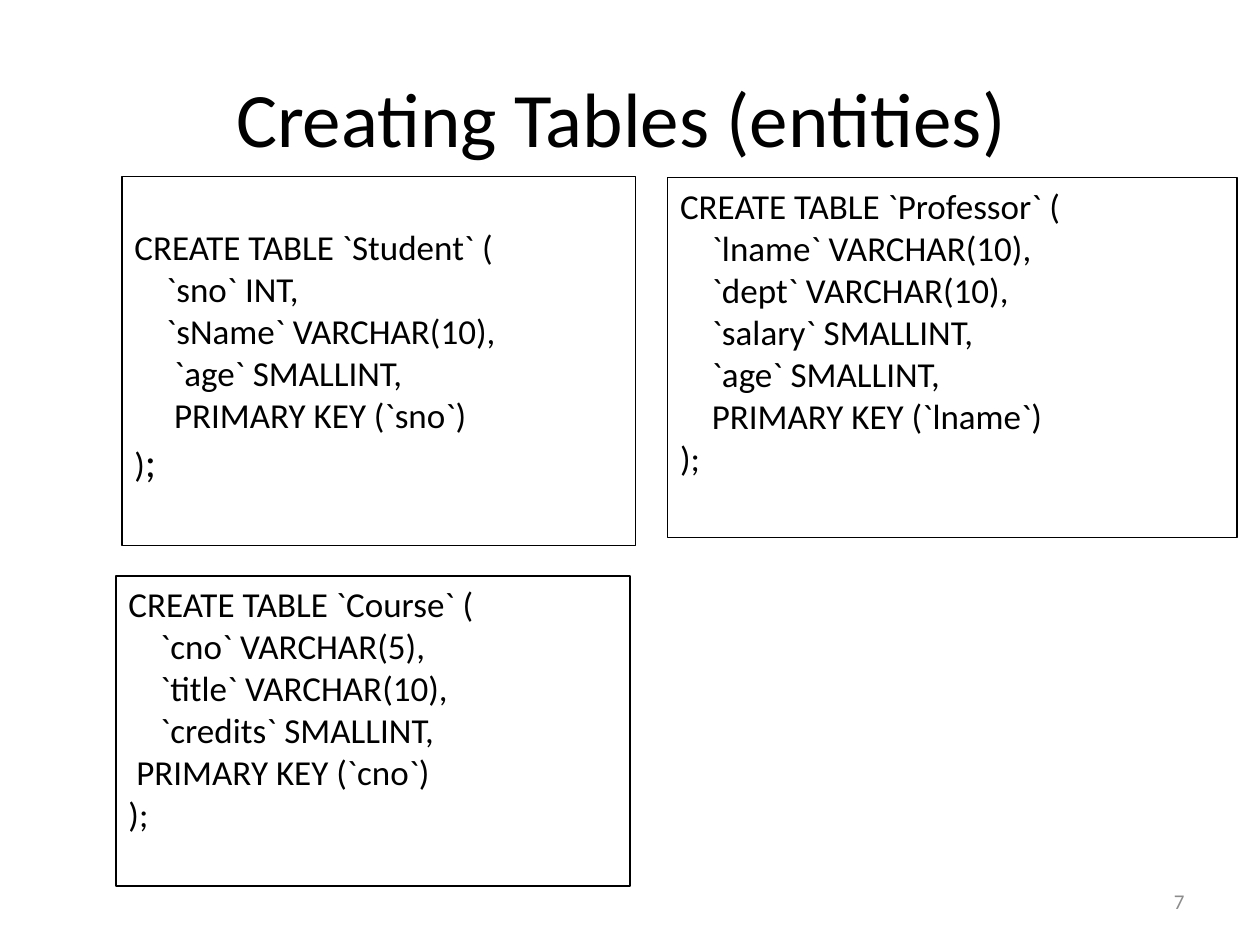
from pptx import Presentation
from pptx.dml.color import RGBColor
from pptx.enum import shapes, text
from pptx.util import Cm, Pt

BLACK = RGBColor(0x00, 0x00, 0x00)
GREY = RGBColor(0x8C, 0x8C, 0x8C)
FONT = "Calibri"
SPACE = 0.16
BLANK_LINE = 0.86
INSET = 0.13

COURSE = [
    (0, "CREATE TABLE `Course` ("),
    (4, "`cno` VARCHAR(5),"),
    (4, "`title` VARCHAR(10),"),
    (4, "`credits` SMALLINT,"),
    (1, "PRIMARY KEY (`cno`)"),
    (0, ");"),
]
PROFESSOR = [
    (0, "CREATE TABLE `Professor` ("),
    (4, "`lname` VARCHAR(10),"),
    (4, "`dept` VARCHAR(10),"),
    (4, "`salary` SMALLINT,"),
    (4, "`age` SMALLINT,"),
    (4, "PRIMARY KEY (`lname`)"),
    (0, ");"),
]
STUDENT = [
    (0, "CREATE TABLE `Student` ("),
    (4, "`sno` INT,"),
    (4, "`sName` VARCHAR(10),"),
    (5, "`age` SMALLINT,"),
    (5, "PRIMARY KEY (`sno`)"),
    (0, ")"),
]


def format_run(r, size, color=BLACK):
    r.font.name = FONT
    r.font.size = Pt(size)
    r.font.color.rgb = color


def add_label(s, box, content, size, align, color=BLACK):
    tf = s.shapes.add_textbox(*map(Cm, box)).text_frame
    tf.word_wrap = True
    tf.vertical_anchor = text.MSO_ANCHOR.MIDDLE
    tf.text = content
    p = tf.paragraphs[0]
    p.alignment = align
    format_run(p.runs[0], size, color)


def add_code_box(s, box, lines, lead=0):
    sp = s.shapes.add_shape(shapes.MSO_SHAPE.RECTANGLE, *map(Cm, box))
    sp.shadow.inherit = False
    sp.fill.background()
    sp.line.color.rgb = BLACK
    sp.line.width = Pt(0.75)
    tf = sp.text_frame
    tf.word_wrap = True
    tf.vertical_anchor = text.MSO_ANCHOR.TOP
    tf.margin_top = Cm(INSET + lead)
    tf.text = "\n".join(line for _, line in lines)
    for p, (spaces, _) in zip(tf.paragraphs, lines):
        p.alignment = text.PP_ALIGN.LEFT
        pPr = p._p.get_or_add_pPr()
        pPr.set("marL", str(Cm(spaces * SPACE)))
        pPr.set("indent", "0")
        format_run(p.runs[0], 20)
    return tf


def add_student_box(s, box):
    tf = add_code_box(s, box, STUDENT, BLANK_LINE)
    r = tf.paragraphs[-1].add_run()
    r.text = ";"
    format_run(r, 24)


def main():
    prs = Presentation()
    prs.slide_width, prs.slide_height = Cm(25.4), Cm(19.05)
    s = prs.slides.add_slide(prs.slide_layouts[6])
    add_label(s, (1.27, 0.76, 22.86, 3.18), "Creating Tables (entities) ", 44,
              text.PP_ALIGN.CENTER)
    add_code_box(s, (2.34, 11.61, 10.36, 6.25), COURSE)
    add_code_box(s, (13.46, 3.58, 11.48, 7.26), PROFESSOR)
    add_student_box(s, (2.46, 3.56, 10.36, 7.44))
    add_label(s, (18.21, 17.65, 5.92, 1.02), "7", 12, text.PP_ALIGN.RIGHT, GREY)
    prs.save("out.pptx")


if __name__ == "__main__":
    main()
